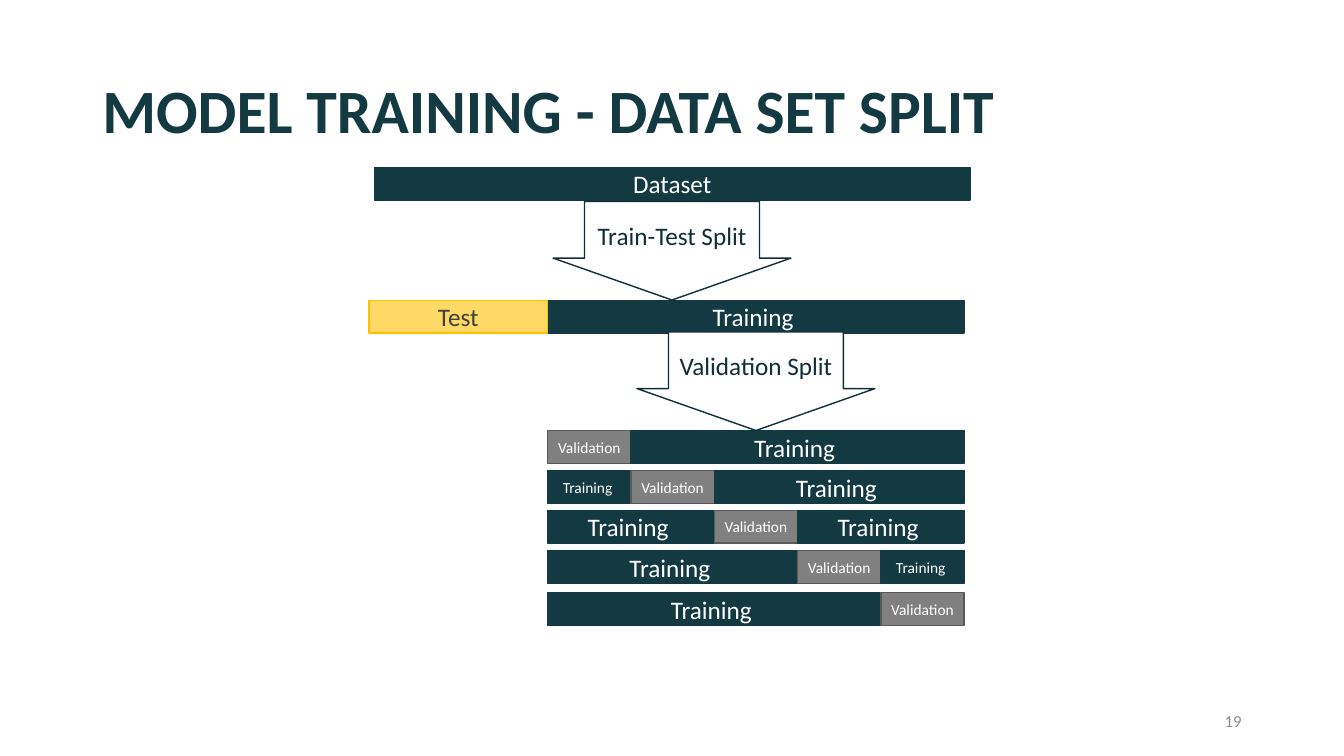
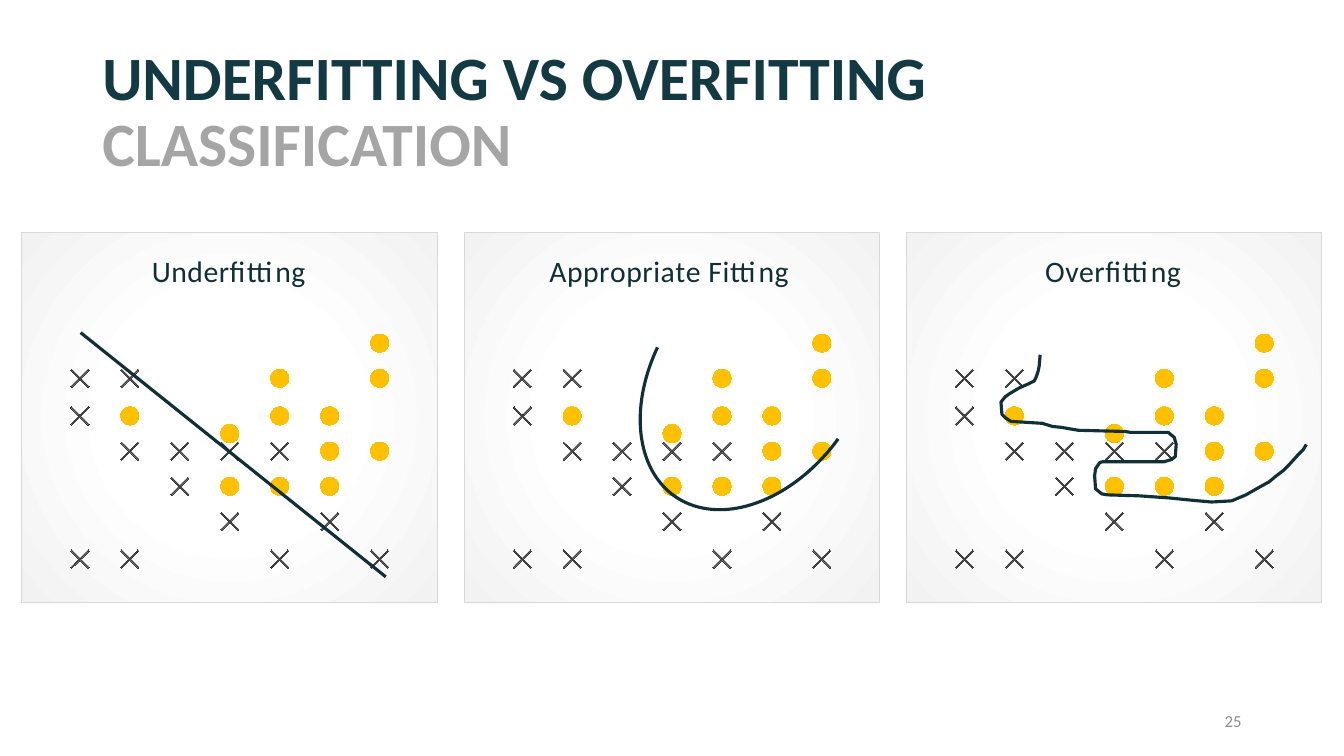
from dataclasses import dataclass

from lxml import etree
from pptx import Presentation
from pptx.chart.data import XyChartData
from pptx.dml.color import RGBColor
from pptx.enum.chart import XL_CHART_TYPE, XL_MARKER_STYLE
from pptx.enum.shapes import MSO_CONNECTOR, MSO_SHAPE
from pptx.enum.text import MSO_ANCHOR, PP_ALIGN
from pptx.oxml import parse_xml
from pptx.oxml.ns import nsdecls, qn
from pptx.util import Pt

RECT, ARROW, ARC = MSO_SHAPE.RECTANGLE, MSO_SHAPE.DOWN_ARROW, MSO_SHAPE.ARC
LEFT, CENTER, RIGHT = PP_ALIGN.LEFT, PP_ALIGN.CENTER, PP_ALIGN.RIGHT
MIDDLE = MSO_ANCHOR.MIDDLE
SCATTER = XL_CHART_TYPE.XY_SCATTER
CROSS, DOT = XL_MARKER_STYLE.X, XL_MARKER_STYLE.CIRCLE
STRAIGHT = MSO_CONNECTOR.STRAIGHT

FONT = "Calibri"
COLORS = {
    "petrol": "133942", "ink": "102F36", "white": "FFFFFF", "black": "000000",
    "amber": "FFC000", "sand": "FFD966", "gray": "808080", "slate": "595959",
    "charcoal": "404040", "subtitle": "A5A5A5", "number": "8C8C8C",
    "panel_edge": "F2F2F2", "panel_line": "D9D9D9",
}


@dataclass
class Style:
    fill: str
    line: str
    text: str


@dataclass
class Panel:
    title: str
    title_x: float  # points from the panel's left edge


STYLES = {
    "training": Style("petrol", "petrol", "white"),
    "validation": Style("gray", "slate", "white"),
    "test": Style("sand", "amber", "charcoal"),
    "arrow": Style("white", "ink", "ink"),
}

# Data split geometry
BAR_H = 23.4
FOLDS = 5
FOLD_LEFT, FOLD_W = 391.2, 59.5
FOLD_TOPS = (307.7, 336.2, 364.6, 393.4, 423.4)
ARROW_W, ARROW_H = 170, 70.5

# Fitting panels
PANELS = (Panel("Underfitting", 89.3), Panel("Appropriate Fitting", 57.3),
          Panel("Overfitting", 95.6))
PANEL_LEFT, PANEL_TOP, PANEL_W, PANEL_H, PANEL_STEP = 15.2, 165.8, 297.4, 264.6, 315.9
POINT_X = (1, 1, 1, 2, 3, 3, 2, 2, 4, 4, 5, 6, 7, 6, 7, 5, 6, 7, 5)
CROSS_Y = (14, 71, 86, 14, 57, 43, 57, 86, 29, 57, 14, 29, 14, None, None, 57,
           None, None, None)
DOT_Y = (*[None] * 7, 71, 43, 64, 86, 43, 100, 71, 57, 43, 57, 86, 71)
OVERFIT_CURVE = (
    (743, 253.4), (742.3, 261.4), (741.6, 265), (740.2, 269.3), (738.7, 272.2),
    (734.4, 274.3), (727.9, 277.2), (720.7, 281.5), (717.8, 283.7), (715, 287.3),
    (715.7, 295.9), (718.6, 298.8), (722.2, 301), (733, 301.7), (744.5, 302.4),
    (751.7, 304.6), (758.2, 305.3), (770.4, 307.4), (803.5, 308.2), (807.8, 308.9),
    (834.5, 308.9), (838.8, 312.5), (840.2, 317.5), (839.5, 326.2), (836.6, 328.3),
    (831.6, 329.8), (787.7, 329.8), (785.5, 330.5), (782.6, 334.8), (781.9, 339.8),
    (782.6, 349.2), (787, 352.8), (791.3, 353.5), (813.6, 354.2), (835.2, 355.7),
    (848.9, 357.1), (865.4, 358.6), (879.8, 357.8), (889.9, 353.5), (900, 347.8),
    (906.5, 344.2), (910.8, 340.6), (916.6, 336.2), (920.9, 331.9), (927.4, 324.7),
    (931, 321.1), (933.1, 317.5),
)


def rgb(name: str) -> RGBColor:
    return RGBColor.from_string(COLORS[name])


def add_text(p, text: str, *, size: float, color: str, bold: bool = False,
             align=LEFT, spacing: float = 1.0):
    """Add a formatted run to a paragraph."""
    p.alignment = align
    p.line_spacing = spacing
    r = p.add_run()
    r.text = text
    r.font.name, r.font.size, r.font.bold = FONT, Pt(size), bold
    r.font.color.rgb = rgb(color)


def add_box(s, x: float, y: float, w: float, h: float):
    """Add a middle-anchored text box and return its first paragraph."""
    tf = s.shapes.add_textbox(Pt(x), Pt(y), Pt(w), Pt(h)).text_frame
    tf.word_wrap = True
    tf.vertical_anchor = MIDDLE
    return tf.paragraphs[0]


def add_slide(prs, title: str, number: str, subtitle: str = ""):
    """Add a blank slide with the shared title and page number."""
    s = prs.slides.add_slide(prs.slide_layouts[6])
    p = add_box(s, 66, 28.8, 828, 104.4)
    add_text(p, title, size=44, color="petrol", bold=True, spacing=0.9)
    if subtitle:
        p.add_line_break()
        add_text(p, subtitle, size=44, color="subtitle", bold=True, spacing=0.9)
    add_text(add_box(s, 678, 500.5, 216, 28.8), number, size=12, color="number",
             align=RIGHT)
    return s


def add_block(s, text: str, style: str, x: float, y: float, w: float,
              h: float = BAR_H, size: float = 18, kind=RECT):
    look = STYLES[style]
    sp = s.shapes.add_shape(kind, Pt(x), Pt(y), Pt(w), Pt(h))
    sp.shadow.inherit = False
    sp.fill.solid()
    sp.fill.fore_color.rgb = rgb(look.fill)
    sp.line.color.rgb = rgb(look.line)
    sp.line.width = Pt(1)
    tf = sp.text_frame
    tf.word_wrap = False
    tf.vertical_anchor = MIDDLE
    add_text(tf.paragraphs[0], text, size=size, color=look.text, align=CENTER)
    return sp


def add_split_arrow(s, text: str, center: float, y: float) -> None:
    sp = add_block(s, text, "arrow", center - ARROW_W / 2, y, ARROW_W, ARROW_H,
                   kind=ARROW)
    sp.adjustments[0], sp.adjustments[1] = 0.735, 0.425


def add_fold(s, fold: int, y: float) -> None:
    """Draw one cross-validation row with its validation part at the fold."""
    parts = (("Training ", 0, fold), ("Validation", fold, 1),
             ("Training ", fold + 1, FOLDS - fold - 1))
    for text, start, span in parts:
        if span:
            add_block(s, text, text.strip().lower(), FOLD_LEFT + start * FOLD_W, y,
                      span * FOLD_W, size=11 if span == 1 else 18)


def set_layout(el, x: float, y: float, w: float = 0, h: float = 0) -> None:
    """Place a chart part, given in points from the panel's corner."""
    layout = el.find(qn("c:layout"))
    if layout is None:
        layout = etree.Element(qn("c:layout"))
        el.insert(0 if el.find(qn("c:tx")) is None else 1, layout)
    manual = etree.SubElement(layout, qn("c:manualLayout"))
    values = {"layoutTarget": "inner"} if w else {}
    values.update(xMode="edge", yMode="edge", x=x / PANEL_W, y=y / PANEL_H)
    if w:
        values.update(w=w / PANEL_W, h=h / PANEL_H)
    for tag, value in values.items():
        etree.SubElement(manual, qn(f"c:{tag}")).set("val", str(value))


def style_panel(chart) -> None:
    """Give the chart a radial fill, a thin border and square corners."""
    stops = "".join(f'<a:gs pos="{pos}"><a:srgbClr val="{COLORS[name]}"/></a:gs>'
                    for pos, name in ((0, "white"), (43000, "white"),
                                      (100000, "panel_edge")))
    el = chart._chartSpace.find(qn("c:chart"))
    el.addnext(parse_xml(
        f'<c:spPr {nsdecls("c", "a")}><a:gradFill><a:gsLst>{stops}</a:gsLst>'
        '<a:path path="circle"><a:fillToRect l="50000" t="50000" r="50000" '
        'b="50000"/></a:path></a:gradFill><a:ln w="9525"><a:solidFill>'
        f'<a:srgbClr val="{COLORS["panel_line"]}"/></a:solidFill></a:ln></c:spPr>'))
    el.addprevious(parse_xml(f'<c:roundedCorners {nsdecls("c")} val="0"/>'))


def add_panel(s, panel: Panel, x: float) -> None:
    data = XyChartData()
    for name, values in (("Series 1", CROSS_Y), ("Series 2", DOT_Y)):
        series = data.add_series(name)
        for point in zip(POINT_X, values):
            series.add_data_point(*point)
    chart = s.shapes.add_chart(SCATTER, Pt(x), Pt(PANEL_TOP), Pt(PANEL_W),
                               Pt(PANEL_H), data).chart
    # Leave the missing values empty
    for pt in list(chart._chartSpace.iter(qn("c:pt"))):
        if pt.findtext(qn("c:v")) in ("None", "", None):
            pt.getparent().remove(pt)
    chart.has_legend = False
    chart.font.name, chart.font.size = FONT, Pt(10)
    chart.font.color.rgb = rgb("black")
    style_panel(chart)

    # Title
    chart.has_title = True
    p = chart.chart_title.text_frame.paragraphs[0]
    add_text(p, panel.title, size=21.3, color="ink", align=CENTER)
    p.runs[0].font._element.set("spc", "50")
    set_layout(chart.chart_title._element, panel.title_x, 9.3)

    # Hidden axes
    for axis, top in ((chart.category_axis, 8), (chart.value_axis, 120)):
        axis.minimum_scale, axis.maximum_scale = 0, top
        axis.has_major_gridlines = False
        axis.visible = False
    set_layout(chart._chartSpace.chart.plotArea, 5.9, 43.2, 286.2, 215.9)

    # Markers
    plot = chart.plots[0]
    plot.vary_by_categories = False
    looks = ((CROSS, "charcoal"), (DOT, "amber"))
    for series, (marker, color) in zip(plot.series, looks):
        series.smooth = False
        series.format.line.fill.background()
        series.marker.style, series.marker.size = marker, 13
        fmt = series.marker.format
        fmt.line.color.rgb = rgb(color)
        if marker == DOT:
            fmt.fill.solid()
            fmt.fill.fore_color.rgb = rgb(color)
        else:
            fmt.line.width = Pt(1.5)
            fmt.fill.background()


def style_boundary(sp) -> None:
    sp.line.color.rgb = rgb("ink")
    sp.line.width = Pt(2.25)


def build_split(prs) -> None:
    s = add_slide(prs, "MODEL TRAINING - DATA SET SPLIT", "19")
    add_block(s, "Dataset", "training", 267.4, 119.6, 425.5)
    add_block(s, "Training ", "training", FOLD_LEFT, 214.6, FOLDS * FOLD_W)
    add_block(s, "Test", "test", 263.5, 214.6, FOLD_LEFT - 263.5)
    for fold, y in enumerate(FOLD_TOPS):
        add_fold(s, fold, y)
    add_split_arrow(s, "Train-Test Split", 480, 143.8)
    add_split_arrow(s, "Validation Split", FOLD_LEFT + FOLDS * FOLD_W / 2, 237)


def build_fitting(prs) -> None:
    s = add_slide(prs, "UNDERFITTING VS OVERFITTING ", "25", "CLASSIFICATION")
    for i, panel in enumerate(PANELS):
        add_panel(s, panel, PANEL_LEFT + i * PANEL_STEP)

    # Straight boundary
    line = s.shapes.add_connector(STRAIGHT, Pt(57.6), Pt(237.6), Pt(275.5), Pt(412))
    etree.SubElement(line._element.spPr, qn("a:effectLst"))
    style_boundary(line)

    # Curved boundary
    arc = s.shapes.add_shape(ARC, Pt(468.7), Pt(164.2), Pt(145.4), Pt(208.8))
    arc.adjustments[0], arc.adjustments[1] = 110.22, 204.93
    arc.rotation = 214.4

    # Winding boundary
    start, *rest = [(Pt(x), Pt(y)) for x, y in OVERFIT_CURVE]
    builder = s.shapes.build_freeform(*start)
    builder.add_line_segments(rest, close=False)
    for sp in (arc, builder.convert_to_shape()):
        sp.shadow.inherit = False
        sp.fill.background()
        style_boundary(sp)


def main() -> None:
    prs = Presentation()
    prs.slide_width, prs.slide_height = Pt(960), Pt(540)
    build_split(prs)
    build_fitting(prs)
    prs.save("out.pptx")


if __name__ == "__main__":
    main()
